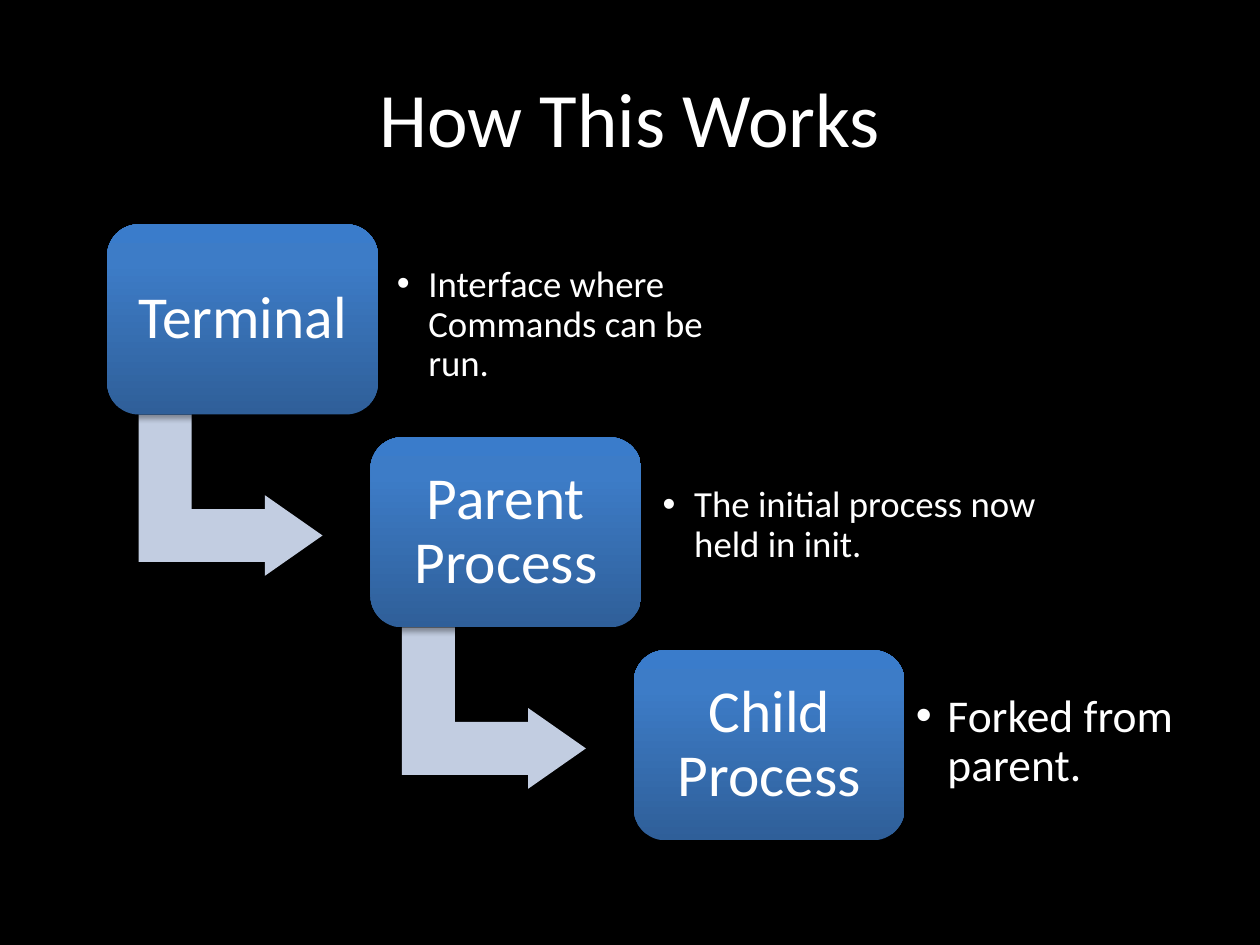
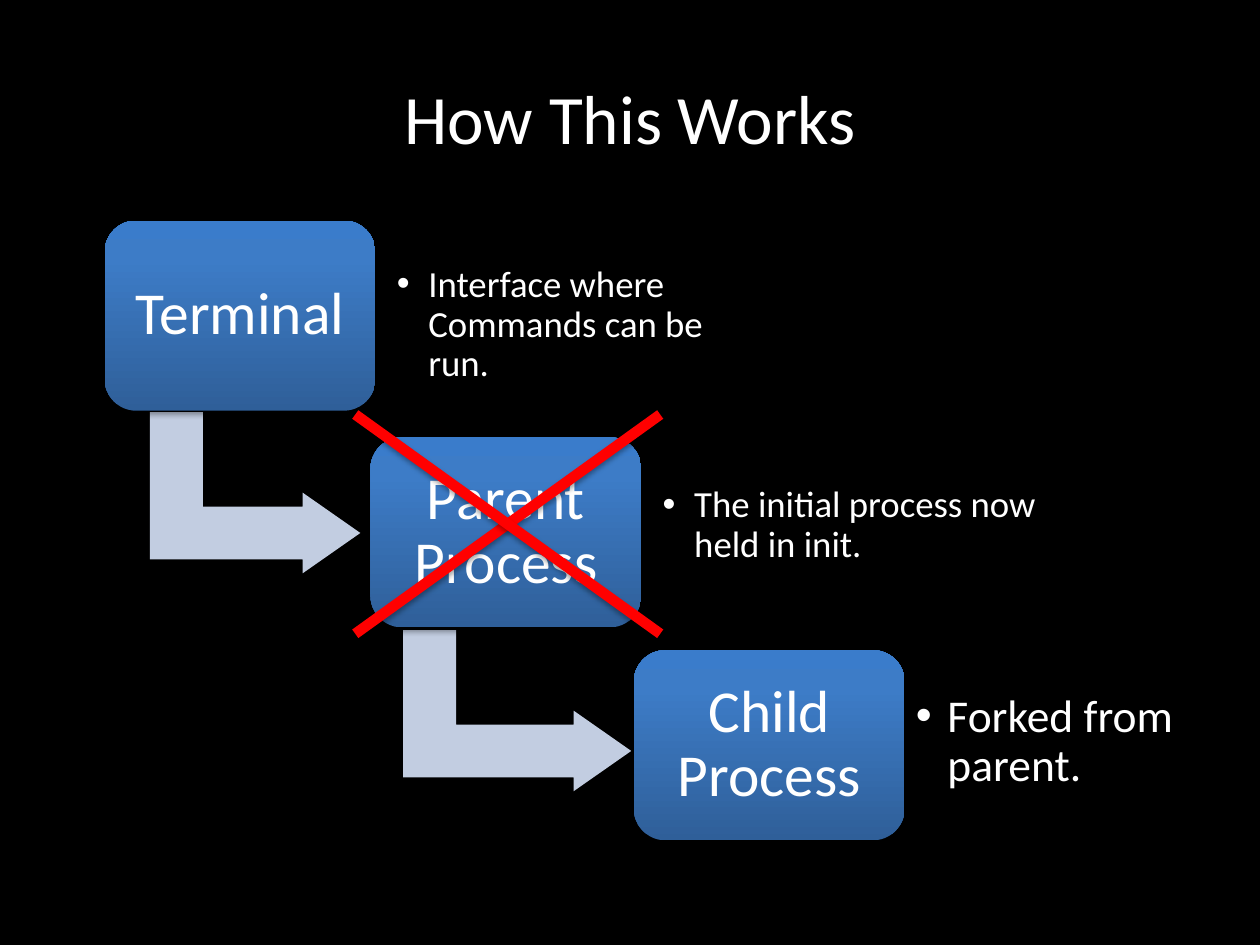
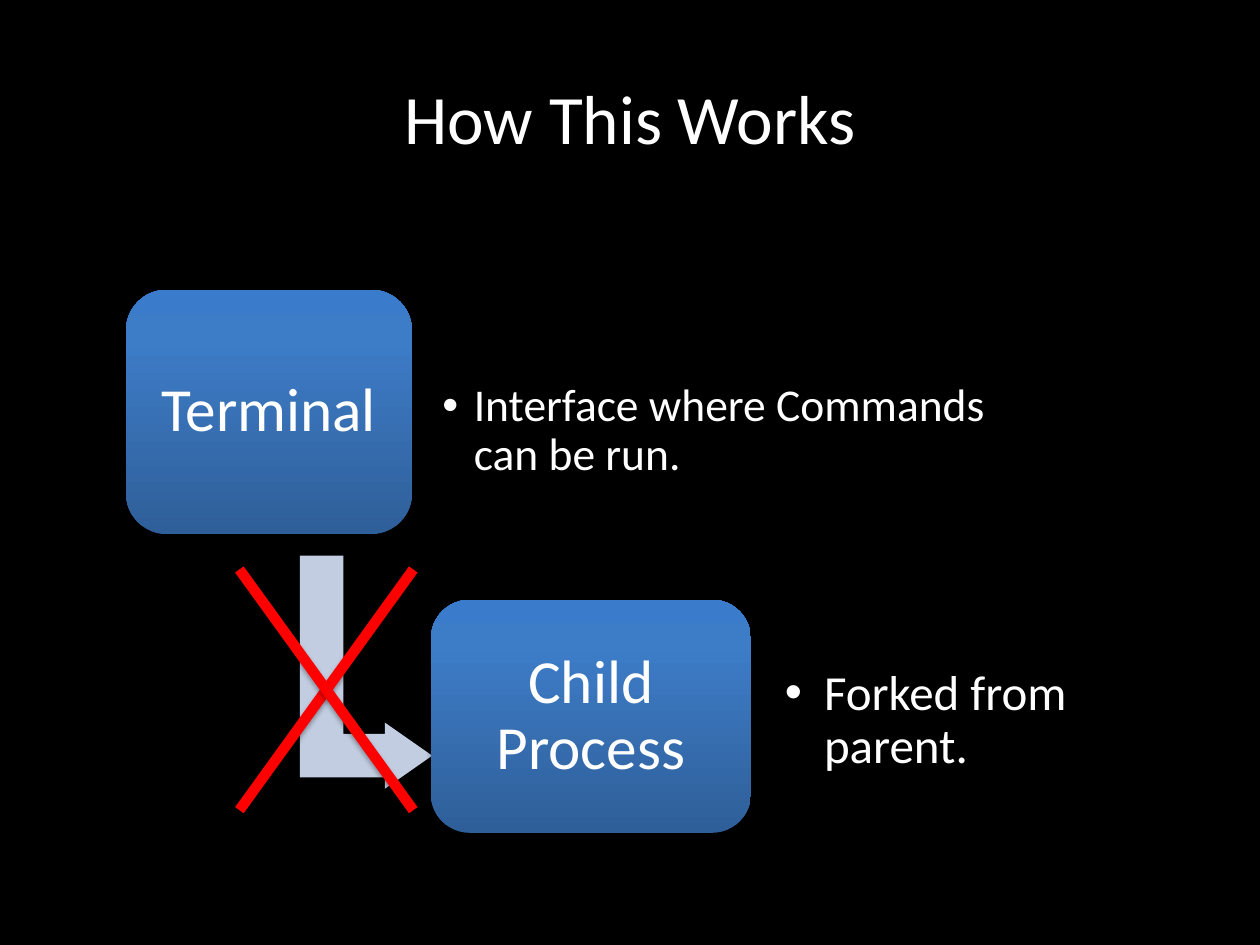
from pptx import Presentation
from pptx.dml.color import RGBColor
from pptx.enum.shapes import MSO_CONNECTOR as Connector, MSO_SHAPE as Shape
from pptx.enum.text import MSO_ANCHOR as Anchor, PP_ALIGN as Align
from pptx.oxml import parse_xml
from pptx.oxml.ns import nsdecls
from pptx.util import Inches, Pt

FONT = "Calibri"
COLORS = {
    "background": "000000",
    "text": "FFFFFF",
    "arrow": "C2CDE1",
    "cross": "FF0000",
    "shadow": "000000",
    "box_dark": "2F5F99",
    "box_mid": "3D7CC7",
    "box_light": "3A7CCB",
}
BOX_STOPS = [(0, "box_dark"), (80, "box_mid"), (100, "box_light")]

TITLE = "How This Works"
TERMINAL, TERMINAL_NOTE = "Terminal", "Interface where Commands can be run."
PARENT, PARENT_NOTE = "Parent Process", "The initial process now held in init."
CHILD, CHILD_NOTE = "Child Process", "Forked from parent."

# Staircase of three equal boxes
STEP_LEFT, STEP_TOP = 0.85, 1.78
STEP_RIGHT, STEP_DOWN = 2.09, 1.69
STEP_WIDTH, STEP_HEIGHT = 2.15, 1.51
ARROW_HEIGHT = 1.28
STAIR_NOTES = [
    ((3.04, 1.97, 2.84, 1.22), TERMINAL_NOTE, 21, 0.11),
    ((5.15, 3.56, 3.41, 1.22), PARENT_NOTE, 21, 0.11),
    ((7.13, 5.28, 2.37, 1.22), CHILD_NOTE, 26, 0.14),
]


def rgb(name):
    return RGBColor.from_string(COLORS[name])


def inches(box):
    return [Inches(length) for length in box]


def add_shadow(item):
    item._element.spPr.append(parse_xml(
        f'<a:effectLst {nsdecls("a")}>'
        '<a:outerShdw blurRad="39370" dist="22860" dir="5400000" rotWithShape="0">'
        f'<a:srgbClr val="{COLORS["shadow"]}"><a:alpha val="35000"/></a:srgbClr>'
        '</a:outerShdw></a:effectLst>'))


def fill_gradient(shape):
    """Blue gradient that runs from the dark bottom to the light top."""
    stops = "".join(
        f'<a:gs pos="{percent * 1000}"><a:srgbClr val="{COLORS[name]}"/></a:gs>'
        for percent, name in BOX_STOPS)
    geometry = shape._element.spPr.prstGeom
    geometry.addnext(parse_xml(
        f'<a:gradFill {nsdecls("a")} rotWithShape="1"><a:gsLst>{stops}</a:gsLst>'
        '<a:lin ang="16200000" scaled="0"/></a:gradFill>'))


def write(shape, text, size, inset=None):
    """Put one middle-anchored paragraph in the shape and return it."""
    frame = shape.text_frame
    frame.word_wrap = True
    frame.vertical_anchor = Anchor.MIDDLE
    if inset is not None:
        frame.margin_left = frame.margin_right = Inches(inset)
        frame.margin_top = frame.margin_bottom = Inches(inset)
    frame.text = text
    para = frame.paragraphs[0]
    for span in para.runs:
        span.font.name = FONT
        span.font.size = Pt(size)
        span.font.color.rgb = rgb("text")
    return para


def add_page(deck, title_size):
    page = deck.slides.add_slide(deck.slide_layouts[6])
    page.background.fill.solid()
    page.background.fill.fore_color.rgb = rgb("background")
    title = page.shapes.add_textbox(*inches((0.5, 0.3, 9, 1.25)))
    write(title, TITLE, title_size).alignment = Align.CENTER
    return page


def add_box(page, box, label, size=34, inset=0.14):
    shape = page.shapes.add_shape(Shape.ROUNDED_RECTANGLE, *inches(box))
    fill_gradient(shape)
    shape.line.fill.background()
    add_shadow(shape)
    para = write(shape, label, size, inset)
    para.alignment = Align.CENTER
    para.line_spacing = 0.9


def add_note(page, box, text, size, inset, indent=0.25):
    note = page.shapes.add_textbox(*inches(box))
    para = write(note, text, size, inset)
    para.line_spacing = 0.9
    properties = para._p.get_or_add_pPr()
    properties.set("marL", str(Inches(indent)))
    properties.set("indent", str(-Inches(indent)))
    properties.append(parse_xml(f'<a:buFont {nsdecls("a")} typeface="Arial"/>'))
    properties.append(parse_xml(f'<a:buChar {nsdecls("a")} char="•"/>'))


def add_bent_arrow(page, box):
    """Arrow that goes down, then right, and fills the box once turned."""
    left, top, width, height = box
    shift = (width - height) / 2
    arrow = page.shapes.add_shape(
        Shape.BENT_UP_ARROW, *inches((left + shift, top - shift, height, width)))
    arrow.rotation = 90
    for index, value in enumerate((0.328, 0.25, 0.358)):
        arrow.adjustments[index] = value
    arrow.fill.solid()
    arrow.fill.fore_color.rgb = rgb("arrow")
    arrow.line.fill.background()
    add_shadow(arrow)


def add_cross(page, box):
    left, top, width, height = box
    right, bottom = left + width, top + height
    for start, end in ((bottom, top), (top, bottom)):
        stroke = page.shapes.add_connector(
            Connector.STRAIGHT, *inches((left, start, right, end)))
        stroke.line.color.rgb = rgb("cross")
        stroke.line.width = Pt(6)
        add_shadow(stroke)


def add_staircase(page, arrows, first_shift=(0, 0)):
    """Terminal, parent and child; each arrow box leads to the next step."""
    for index, label in enumerate((TERMINAL, PARENT, CHILD)):
        left = STEP_LEFT + index * STEP_RIGHT
        top = STEP_TOP + index * STEP_DOWN
        if index == 0:
            left, top = left + first_shift[0], top + first_shift[1]
        if index < len(arrows):
            add_bent_arrow(page, arrows[index])
        add_box(page, (left, top, STEP_WIDTH, STEP_HEIGHT), label)
        add_note(page, *STAIR_NOTES[index])


def build_running(deck):
    page = add_page(deck, 44)
    arrows = [(STEP_LEFT + 0.25 + index * STEP_RIGHT,
               STEP_TOP + STEP_HEIGHT + index * STEP_DOWN, 1.46, ARROW_HEIGHT)
              for index in range(2)]
    add_staircase(page, arrows)


def build_parent_ends(deck):
    page = add_page(deck, 39.6)
    arrows = [(1.19, 3.27, 1.67, ARROW_HEIGHT), (3.2, 5, 1.81, ARROW_HEIGHT)]
    add_staircase(page, arrows, first_shift=(-0.02, -0.03))
    add_cross(page, (2.82, 3.29, 2.42, 1.74))


def build_child_detached(deck):
    page = add_page(deck, 39.6)
    add_bent_arrow(page, (2.38, 4.41, 1.05, 1.85))
    add_box(page, (1, 2.3, 2.27, 1.94), TERMINAL, 35, 0.15)
    add_note(page, (3.37, 2.88, 4.62, 1.09), TERMINAL_NOTE, 26, 0.14)
    add_box(page, (3.42, 4.76, 2.54, 1.85), CHILD, 35, 0.15)
    add_note(page, (6.08, 4.96, 2.58, 1.52), CHILD_NOTE, 28, 0.15, 0.31)
    add_cross(page, (1.9, 4.52, 1.38, 1.91))


def main():
    deck = Presentation()
    deck.slide_width, deck.slide_height = Inches(10), Inches(7.5)
    build_running(deck)
    build_parent_ends(deck)
    build_child_detached(deck)
    deck.save("out.pptx")


if __name__ == "__main__":
    main()
